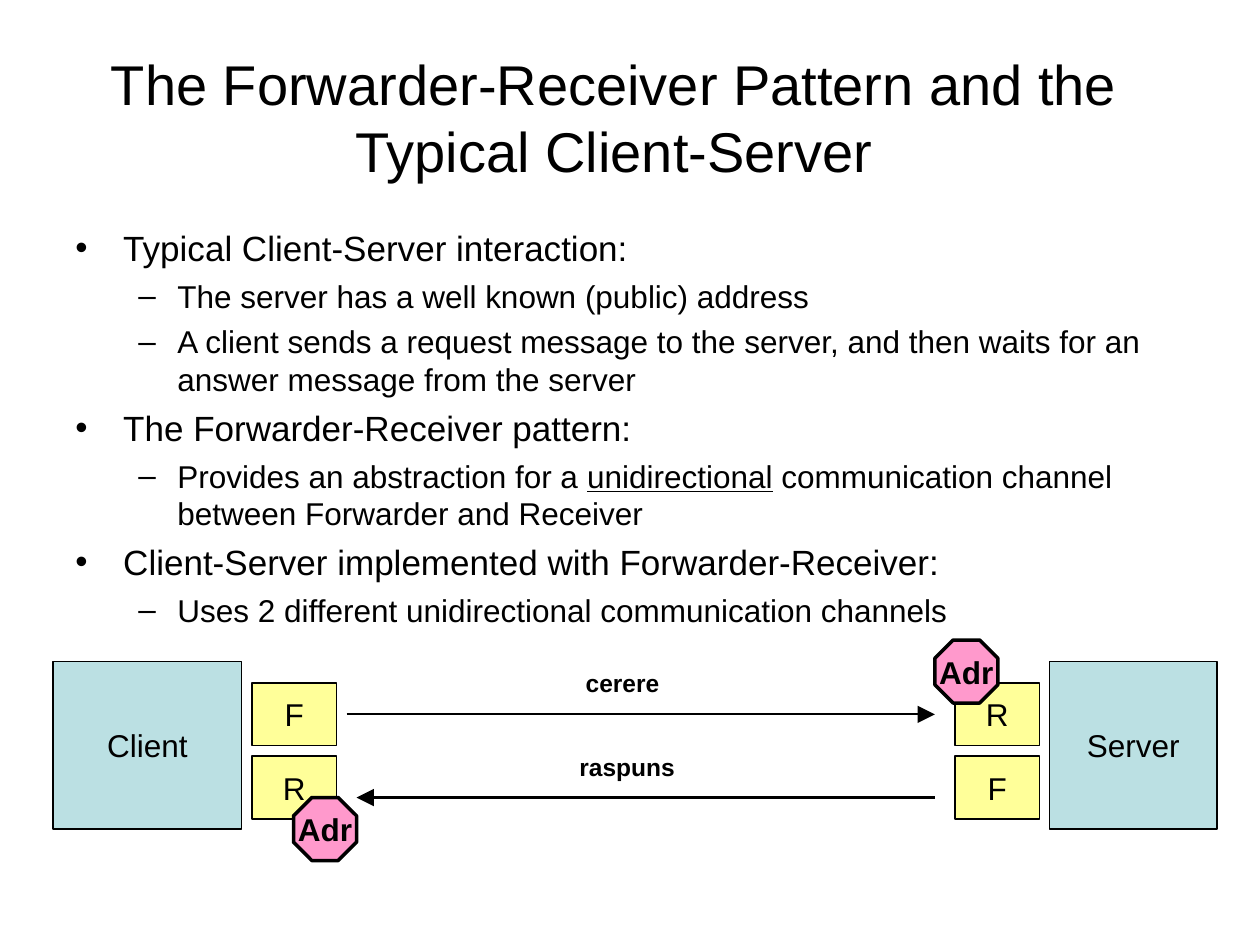
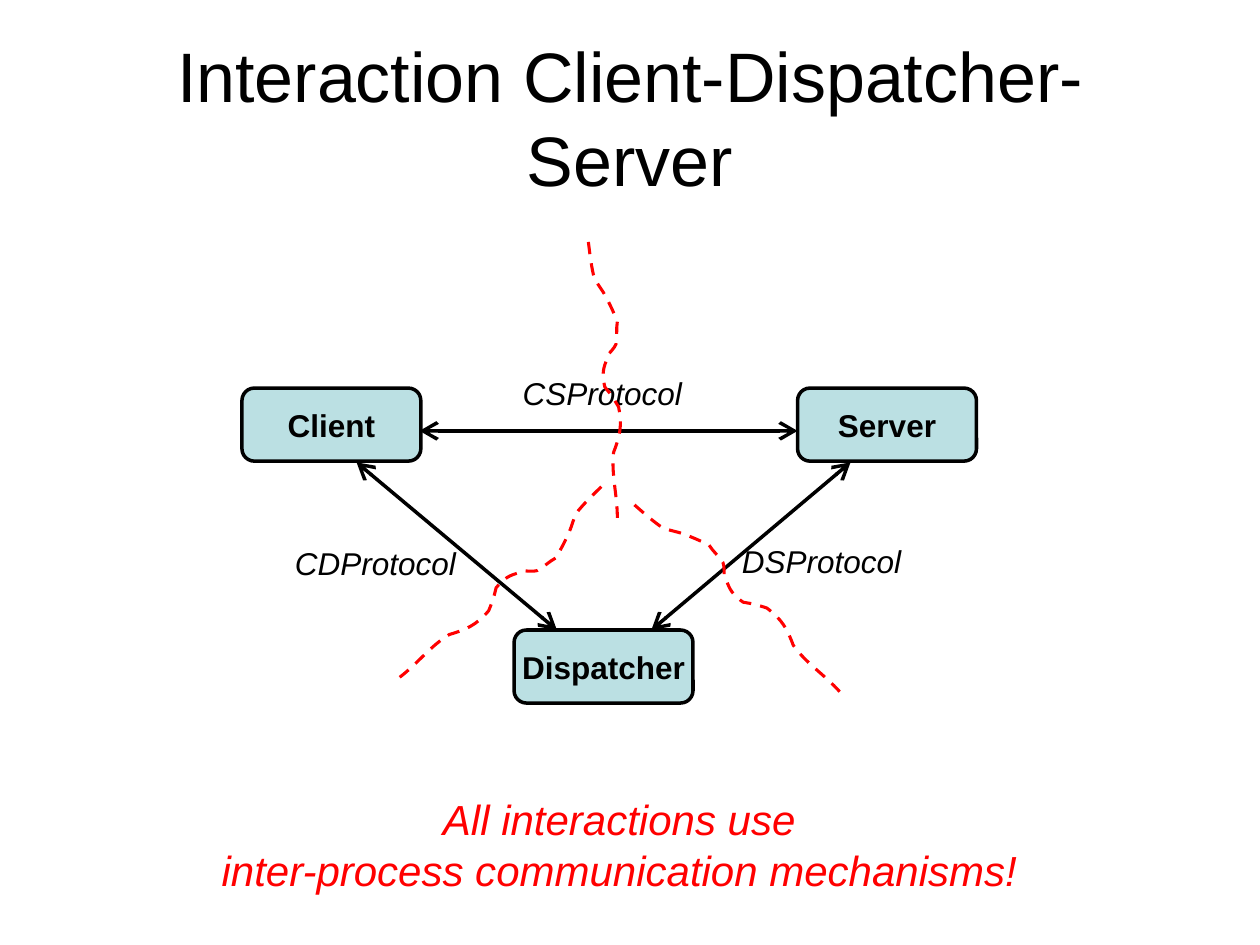
from dataclasses import dataclass

from lxml.etree import SubElement
from pptx import Presentation
from pptx.dml.color import RGBColor
from pptx.enum.dml import MSO_LINE
from pptx.enum.shapes import MSO_CONNECTOR, MSO_SHAPE
from pptx.enum.text import MSO_ANCHOR, MSO_AUTO_SIZE, PP_ALIGN
from pptx.oxml.ns import qn
from pptx.slide import Slide
from pptx.text.text import TextFrame
from pptx.util import Inches, Pt

COLORS = {
    "ink": "000000",
    "process": "BBE0E3",
    "endpoint": "FFFF99",
    "address": "FF99CC",
    "alert": "FF0000",
    "veil": "FFFFFF",
}
FONT = "Arial"


@dataclass
class TextStyle:
    size: float = 18
    bold: bool = False
    italic: bool = False
    color: str = "ink"
    align: PP_ALIGN = PP_ALIGN.CENTER


@dataclass
class NodeStyle:
    shape: MSO_SHAPE
    fill: str
    width: float
    height: float
    line_width: float = 0.75
    bold: bool = False
    corner: float | None = None


@dataclass
class Arrow:
    start: tuple[float, float]
    end: tuple[float, float]


@dataclass
class Label:
    text: str
    left: float
    top: float
    width: float
    height: float
    veil_opacity: int = 0


@dataclass
class Bullet:
    """Text between underscores is underlined."""
    text: str
    level: int = 0


@dataclass
class BulletStyle:
    mark: str
    size: float
    indent: float
    hanging: float
    space_before: float


@dataclass
class Boundary:
    left: float
    top: float
    rotation: float = 0


CLIENT = NodeStyle(MSO_SHAPE.RECTANGLE, "process", 1.5, 1.33)
SERVER = NodeStyle(MSO_SHAPE.RECTANGLE, "process", 1.33, 1.33)
ENDPOINT = NodeStyle(MSO_SHAPE.RECTANGLE, "endpoint", 0.67, 0.5)
ADDRESS = NodeStyle(MSO_SHAPE.OCTAGON, "address", 0.5, 0.5, 2, True, 0.29)
PARTICIPANT = NodeStyle(MSO_SHAPE.ROUNDED_RECTANGLE, "process", 1.42, 0.58, 2, True, 0.17)

BULLET_STYLES = [
    BulletStyle("•", 20, 0.38, 0.38, 5),
    BulletStyle("–", 18, 0.81, 0.31, 4.5),
]
BULLETS = [
    Bullet("Typical Client-Server interaction:"),
    Bullet("The server has a well known (public) address", 1),
    Bullet("A client sends a request message to the server, and then waits "
           "for an answer message from the server", 1),
    Bullet("The Forwarder-Receiver pattern:"),
    Bullet("Provides an abstraction for a _unidirectional_ communication "
           "channel between Forwarder and Receiver", 1),
    Bullet("Client-Server implemented with Forwarder-Receiver:"),
    Bullet("Uses 2 different unidirectional communication channels", 1),
]

# Process boundary: cubic curves, each as two control points and an end point
BOUNDARY_WIDTH = 0.27
BOUNDARY_CURVES = [
    ((0.01, 0.08), (0.02, 0.17), (0.04, 0.26)),
    ((0.05, 0.31), (0.11, 0.38), (0.13, 0.42)),
    ((0.17, 0.49), (0.20, 0.56), (0.23, 0.63)),
    ((0.22, 0.69), (0.23, 0.75), (0.22, 0.81)),
    ((0.21, 0.84), (0.16, 0.89), (0.16, 0.89)),
    ((0.13, 0.99), (0.10, 1.01), (0.13, 1.15)),
    ((0.14, 1.17), (0.16, 1.18), (0.17, 1.20)),
    ((0.20, 1.24), (0.24, 1.31), (0.24, 1.31)),
    ((0.27, 1.46), (0.25, 1.54), (0.20, 1.67)),
    ((0.18, 1.84), (0.23, 2.01), (0.23, 2.19)),
]


def rgb(name: str) -> RGBColor:
    return RGBColor.from_string(COLORS[name])


def write_text(frame: TextFrame, text: str, style: TextStyle) -> None:
    frame.text = text
    for paragraph in frame.paragraphs:
        paragraph.alignment = style.align
        font = paragraph.runs[0].font
        font.name, font.size = FONT, Pt(style.size)
        font.bold, font.italic = style.bold, style.italic
        font.color.rgb = rgb(style.color)


def add_title(slide: Slide, text: str, left: float, width: float, size: float) -> None:
    title = slide.shapes.add_textbox(Inches(left), Inches(0.3), Inches(width), Inches(1.25))
    title.text_frame.word_wrap = True
    title.text_frame.vertical_anchor = MSO_ANCHOR.MIDDLE
    write_text(title.text_frame, text, TextStyle(size))


def add_bullets(slide: Slide, bullets: list[Bullet]) -> None:
    body = slide.shapes.add_textbox(Inches(0.5), Inches(1.75), Inches(9), Inches(4.95))
    frame = body.text_frame
    frame.word_wrap = True
    for index, bullet in enumerate(bullets):
        style = BULLET_STYLES[bullet.level]
        paragraph = frame.add_paragraph() if index else frame.paragraphs[0]
        paragraph.level = bullet.level
        properties = paragraph._p.get_or_add_pPr()
        properties.set("marL", str(Inches(style.indent)))
        properties.set("indent", str(-Inches(style.hanging)))
        mark_color = SubElement(properties, qn("a:buClr"))
        SubElement(mark_color, qn("a:srgbClr"), val=COLORS["ink"])
        SubElement(properties, qn("a:buFont"), typeface=FONT)
        SubElement(properties, qn("a:buChar"), char=style.mark)
        if index:
            paragraph.space_before = Pt(style.space_before)
        for position, part in enumerate(bullet.text.split("_")):
            run = paragraph.add_run()
            run.text = part
            run.font.name, run.font.size = FONT, Pt(style.size)
            run.font.color.rgb = rgb("ink")
            run.font.underline = position % 2 == 1


def add_node(slide: Slide, text: str, left: float, top: float, style: NodeStyle) -> None:
    node = slide.shapes.add_shape(style.shape, Inches(left), Inches(top),
                                  Inches(style.width), Inches(style.height))
    node.shadow.inherit = False
    if style.corner is not None:
        node.adjustments[0] = style.corner
    node.fill.solid()
    node.fill.fore_color.rgb = rgb(style.fill)
    node.line.color.rgb = rgb("ink")
    node.line.width = Pt(style.line_width)
    node.text_frame.word_wrap = False
    node.text_frame.vertical_anchor = MSO_ANCHOR.MIDDLE
    write_text(node.text_frame, text, TextStyle(bold=style.bold))


def add_arrow(slide: Slide, arrow: Arrow, width: float, **heads: str) -> None:
    """heads maps headEnd and tailEnd, in that order, to arrowhead types."""
    connector = slide.shapes.add_connector(
        MSO_CONNECTOR.STRAIGHT, *(Inches(value) for value in arrow.start + arrow.end))
    connector.line.color.rgb = rgb("ink")
    connector.line.width = Pt(width)
    for end, head in heads.items():
        SubElement(connector.line._get_or_add_ln(), qn(f"a:{end}"),
                   type=head, w="lg", len="lg")
    SubElement(connector._element.spPr, qn("a:effectLst"))


def add_label(slide: Slide, label: Label, style: TextStyle) -> None:
    box = slide.shapes.add_textbox(Inches(label.left), Inches(label.top),
                                   Inches(label.width), Inches(label.height))
    box.text_frame.word_wrap = False
    box.text_frame.auto_size = MSO_AUTO_SIZE.SHAPE_TO_FIT_TEXT
    if label.veil_opacity:
        box.fill.solid()
        box.fill.fore_color.rgb = rgb("veil")
        veil = box._element.spPr.find(qn("a:solidFill"))[0]
        SubElement(veil, qn("a:alpha"), val=str(label.veil_opacity * 1000))
    write_text(box.text_frame, label.text, style)


def add_boundary(slide: Slide, boundary: Boundary) -> None:
    builder = slide.shapes.build_freeform(0, 0)
    builder.add_line_segments([(Inches(x), Inches(y)) for *_, (x, y) in BOUNDARY_CURVES],
                              close=False)
    wave = builder.convert_to_shape(Inches(boundary.left), Inches(boundary.top))
    outline = next(wave._element.iter(qn("a:path")))
    for segment, curve in zip(outline.findall(qn("a:lnTo")), BOUNDARY_CURVES):
        bezier = SubElement(outline, qn("a:cubicBezTo"))
        for x, y in curve:
            SubElement(bezier, qn("a:pt"), x=str(Inches(x)), y=str(Inches(y)))
        outline.replace(segment, bezier)
    wave.width = Inches(BOUNDARY_WIDTH)
    outline.set("w", str(wave.width))
    wave.rotation = boundary.rotation
    wave.shadow.inherit = False
    wave.fill.background()
    wave.line.color.rgb = rgb("alert")
    wave.line.width = Pt(1.75)
    wave.line.dash_style = MSO_LINE.DASH


def build_forwarder_receiver(slide: Slide) -> None:
    add_title(slide, "The Forwarder-Receiver Pattern and the Typical Client-Server",
              0.25, 9.25, 32)
    add_bullets(slide, BULLETS)
    add_node(slide, "Client", 0.42, 5.25, CLIENT)
    add_node(slide, "Server", 8.33, 5.25, SERVER)
    for channel in (Arrow((2.75, 5.67), (7.42, 5.67)), Arrow((7.42, 6.33), (2.83, 6.33))):
        add_arrow(slide, channel, 1.25, tailEnd="triangle")
    for message in (Label("cerere", 4.55, 5.25, 0.8, 0.34),
                    Label("raspuns", 4.5, 5.92, 0.97, 0.34)):
        add_label(slide, message, TextStyle(14, bold=True, align=PP_ALIGN.LEFT))
    for left, roles in ((2, "FR"), (7.58, "RF")):
        for role, top in zip(roles, (5.42, 6)):
            add_node(slide, role, left, top, ENDPOINT)
    for left, top in ((2.33, 6.33), (7.42, 5.08)):
        add_node(slide, "Adr", left, top, ADDRESS)


def build_dispatcher(slide: Slide) -> None:
    add_title(slide, "Interaction Client-Dispatcher-Server", 0.5, 9, 40)
    for name, left, top in (("Client", 1.92, 3.08), ("Server", 6.33, 3.08),
                            ("Dispatcher", 4.08, 5)):
        add_node(slide, name, left, top, PARTICIPANT)
    for link in (Arrow((3.33, 3.42), (6.33, 3.42)), Arrow((5.17, 5), (6.75, 3.67)),
                 Arrow((2.83, 3.67), (4.42, 5))):
        add_arrow(slide, link, 2, headEnd="arrow", tailEnd="arrow")
    for protocol in (Label("CSProtocol", 4.04, 2.92, 1.48, 0.4, veil_opacity=70),
                     Label("DSProtocol", 5.78, 4.25, 1.48, 0.4),
                     Label("CDProtocol", 2.24, 4.27, 1.48, 0.4)):
        add_label(slide, protocol, TextStyle(italic=True))
    for boundary in (Boundary(4.67, 1.92), Boundary(5.73, 3.64, 318.3),
                     Boundary(3.85, 3.54, 52.6)):
        add_boundary(slide, boundary)
    add_label(slide, Label("All interactions use\ninter-process communication mechanisms!",
                           1.5, 6.25, 6.83, 0.9),
              TextStyle(24, italic=True, color="alert"))


def main() -> None:
    deck = Presentation()
    deck.slide_width, deck.slide_height = Inches(10), Inches(7.5)
    blank = deck.slide_layouts[6]
    for build in (build_forwarder_receiver, build_dispatcher):
        build(deck.slides.add_slide(blank))
    deck.save("out.pptx")


if __name__ == "__main__":
    main()
